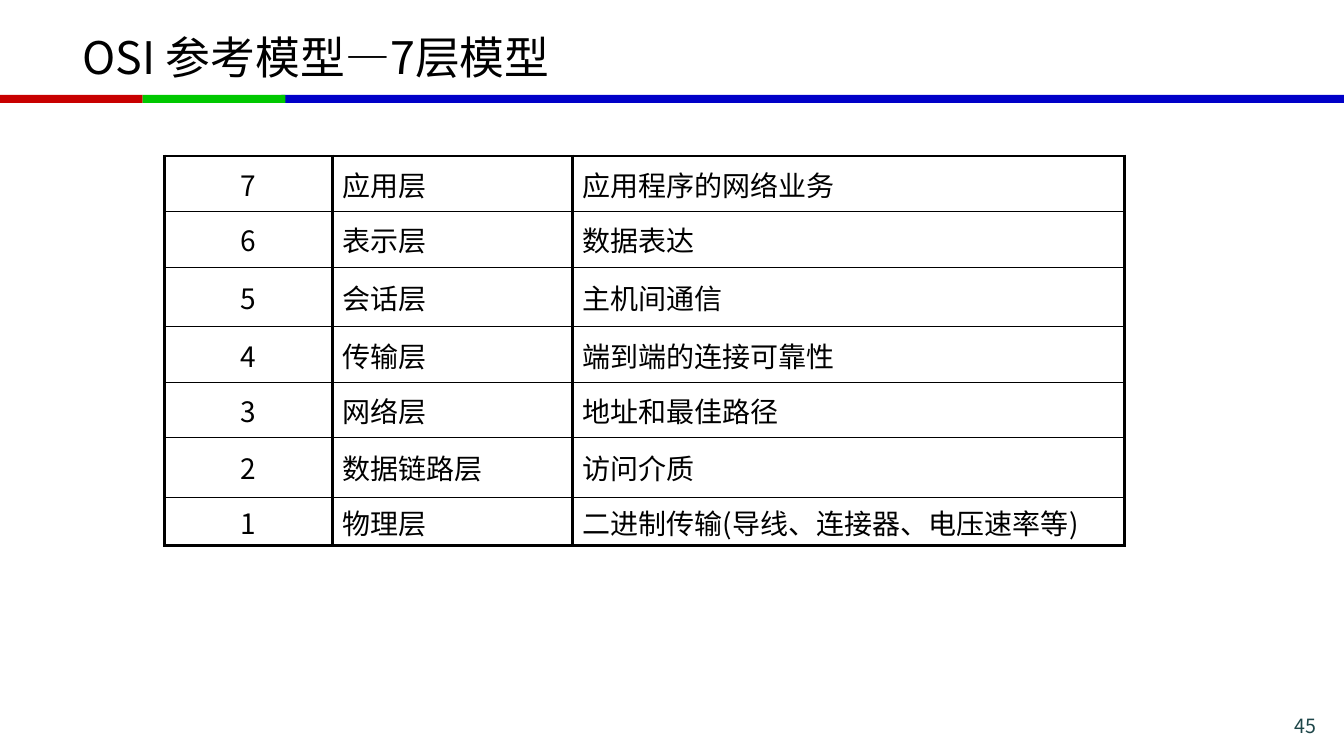
from dataclasses import dataclass

from lxml.etree import SubElement as Sub
from pptx import Presentation
from pptx.dml.color import RGBColor as RGB
from pptx.enum.shapes import MSO_SHAPE as Kind
from pptx.enum.text import MSO_ANCHOR as Anchor, PP_ALIGN as Align
from pptx.oxml.ns import qn
from pptx.util import Pt


@dataclass(frozen=True)
class Theme:
    font: str = "Noto Sans CJK SC"
    ink: str = "000000"
    page: str = "1E4649"
    red: str = "C80000"
    green: str = "00C800"
    blue: str = "0000C8"
    head: int = 32
    body: int = 20
    small: int = 14
    thick: float = 2.25
    thin: float = 1


theme = Theme()

LAYERS = [
    ("7", "应用层", "应用程序的网络业务"),
    ("6", "表示层", "数据表达"),
    ("5", "会话层", "主机间通信"),
    ("4", "传输层", "端到端的连接可靠性"),
    ("3", "网络层", "地址和最佳路径"),
    ("2", "数据链路层", "访问介质"),
    ("1", "物理层", "二进制传输(导线、连接器、电压速率等)"),
]
WIDTHS = [120, 171.5, 394.5]
HEIGHTS = [39.75, 39.75, 42.5, 40, 39.25, 42.5, 34.5]


def add_run(para, text, size, color, align=Align.LEFT):
    para.alignment = align
    run = para.add_run()
    run.text = text
    run.font.size = Pt(size)
    run.font.name = theme.font
    run.font.color.rgb = RGB.from_string(color)
    Sub(run.font._element, qn("a:ea"), typeface=theme.font)


def add_text(slide, box, text, size, color, align=Align.LEFT):
    frame = slide.shapes.add_textbox(*map(Pt, box)).text_frame
    frame.word_wrap = True
    frame.vertical_anchor = Anchor.MIDDLE
    add_run(frame.paragraphs[0], text, size, color, align)


def add_bar(slide, left, width, color):
    bar = slide.shapes.add_shape(
        Kind.RECTANGLE, Pt(left), Pt(67.75), Pt(width), Pt(5.75))
    bar.shadow.inherit = False
    bar.fill.solid()
    bar.fill.fore_color.rgb = RGB.from_string(color)
    bar.line.fill.background()


def set_edges(cell, top, bottom):
    props = cell._tc.get_or_add_tcPr()
    edges = {"L": theme.thick, "R": theme.thick, "T": top, "B": bottom}
    for side, width in edges.items():
        line = Sub(props, qn(f"a:ln{side}"), w=str(Pt(width)))
        fill = Sub(line, qn("a:solidFill"))
        Sub(fill, qn("a:srgbClr"), val=theme.ink)


def add_grid(slide, left, top):
    last = len(LAYERS) - 1
    table = slide.shapes.add_table(
        len(LAYERS), len(WIDTHS), Pt(left), Pt(top),
        Pt(sum(WIDTHS)), Pt(sum(HEIGHTS))).table
    table.first_row = table.horz_banding = False
    for col, width in zip(table.columns, WIDTHS):
        col.width = Pt(width)
    for i, (row, height) in enumerate(zip(table.rows, HEIGHTS)):
        row.height = Pt(height)
        for j, cell in enumerate(row.cells):
            cell.vertical_anchor = Anchor.MIDDLE
            # Outer edges are thick, inner rules thin
            set_edges(cell, theme.thin if i else theme.thick,
                      theme.thin if i < last else theme.thick)
            cell.fill.background()
            add_run(cell.text_frame.paragraphs[0], LAYERS[i][j], theme.body,
                    theme.ink, Align.LEFT if j else Align.CENTER)


def main():
    deck = Presentation()
    deck.slide_width, deck.slide_height = Pt(960), Pt(540)
    slide = deck.slides.add_slide(deck.slide_layouts[6])

    # Colour band under the title
    add_bar(slide, 201, 759, theme.blue)
    add_bar(slide, 0, 102, theme.red)
    add_bar(slide, 102, 102, theme.green)

    # Title
    add_text(slide, (52, 0, 855, 80.5), "OSI 参考模型—7层模型",
             theme.head, theme.ink)

    # Layer table
    add_grid(slide, 117.5, 111.5)

    # Page number
    add_text(slide, (854, 508.5, 93.5, 20), "45",
             theme.small, theme.page, Align.RIGHT)

    deck.save("out.pptx")


if __name__ == "__main__":
    main()
